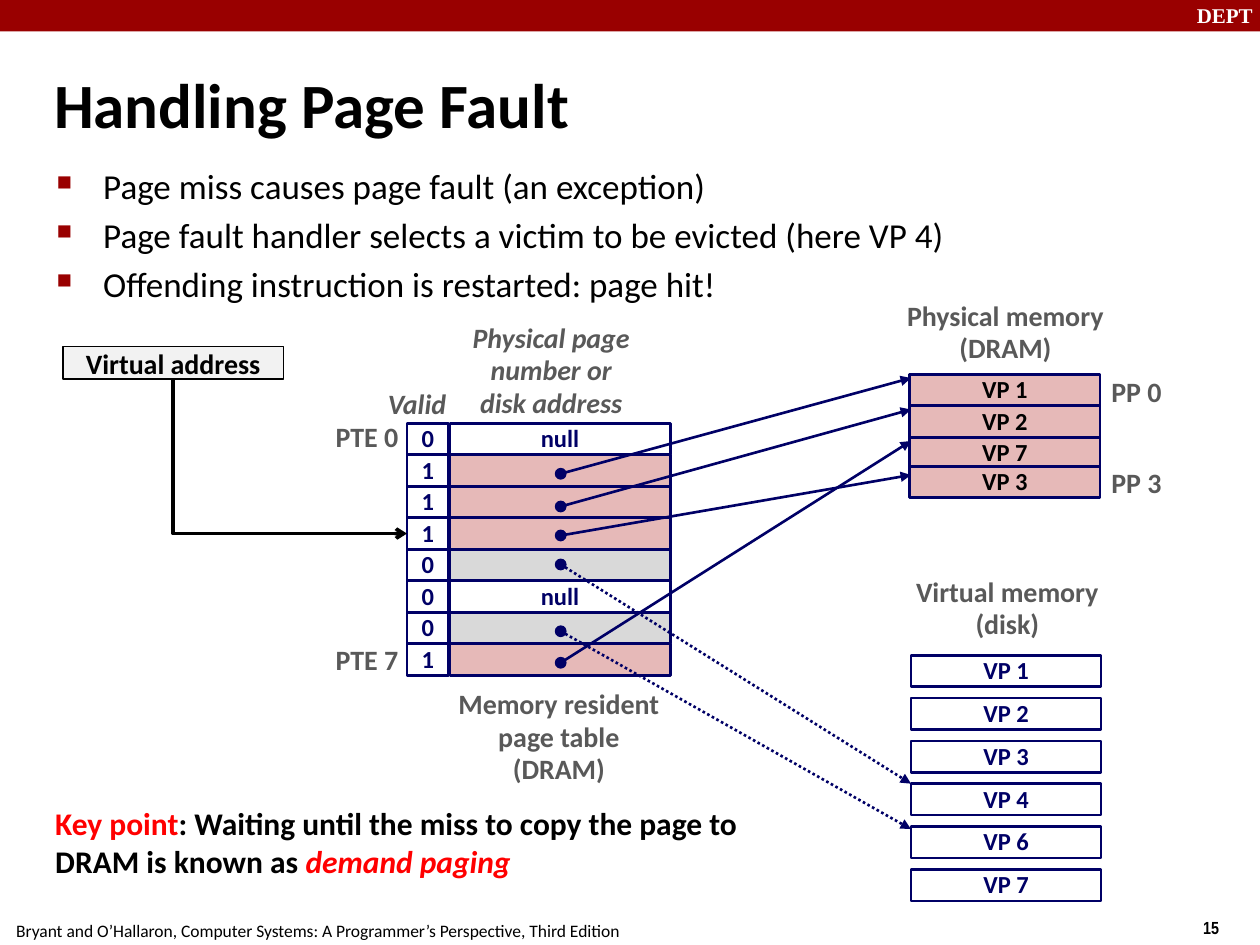
import lxml.etree
import pptx
import pptx.dml.color
import pptx.enum.dml
import pptx.enum.shapes
import pptx.enum.text
import pptx.oxml.ns
import pptx.util

Inches = pptx.util.Inches
Pt = pptx.util.Pt
RGBColor = pptx.dml.color.RGBColor
SHAPE = pptx.enum.shapes.MSO_SHAPE
CONNECTOR = pptx.enum.shapes.MSO_CONNECTOR
ALIGN = pptx.enum.text.PP_ALIGN
ANCHOR = pptx.enum.text.MSO_ANCHOR
DOTTED = pptx.enum.dml.MSO_LINE.ROUND_DOT
qn = pptx.oxml.ns.qn

BLACK = RGBColor(0x00, 0x00, 0x00)
WHITE = RGBColor(0xFF, 0xFF, 0xFF)
DARK_RED = RGBColor(0x99, 0x00, 0x00)
RED = RGBColor(0xFF, 0x00, 0x00)
NAVY = RGBColor(0x00, 0x00, 0x66)
PINK = RGBColor(0xE6, 0xB9, 0xB8)
SILVER = RGBColor(0xD9, 0xD9, 0xD9)
PALE = RGBColor(0xF2, 0xF2, 0xF2)
GRAY = RGBColor(0x59, 0x59, 0x59)

ROW = Inches(0.25)
MEMORY_WIDTH = Inches(1.51)


def format_span(span, size, color, bold=True, italic=False, font="Calibri"):
    span.font.name = font
    span.font.size = Pt(size)
    span.font.bold = bold
    span.font.italic = italic
    span.font.color.rgb = color


def write_text(shape, text, size, color, align=ALIGN.CENTER, anchor=ANCHOR.MIDDLE,
               wrap=False, spacing=0.98, **style):
    """Fill a shape with one paragraph for each line of text."""
    frame = shape.text_frame
    frame.auto_size = pptx.enum.text.MSO_AUTO_SIZE.NONE
    frame.text = text
    frame.word_wrap = wrap
    frame.vertical_anchor = anchor
    for para in frame.paragraphs:
        para.alignment = align
        para.line_spacing = spacing
        for span in para.runs:
            format_span(span, size, color, **style)


def add_label(page, left, top, width, height, text, size=16, color=GRAY, **style):
    label = page.shapes.add_textbox(left, top, width, height)
    write_text(label, text, size, color, **style)
    return label


def add_box(page, left, top, width, height, fill=None, line=NAVY, weight=1.5, kind=SHAPE.RECTANGLE):
    box = page.shapes.add_shape(kind, left, top, width, height)
    box.shadow.inherit = False
    if fill is None:
        box.fill.background()
    else:
        box.fill.solid()
        box.fill.fore_color.rgb = fill
    if line is None:
        box.line.fill.background()
    else:
        box.line.color.rgb = line
        box.line.width = Pt(weight)
    return box


def add_arrow(page, start, end, color=NAVY, weight=1.5, head="triangle", dash=None,
              kind=CONNECTOR.STRAIGHT):
    arrow = page.shapes.add_connector(kind, *start, *end)
    arrow.line.color.rgb = color
    arrow.line.width = Pt(weight)
    if dash is not None:
        arrow.line.dash_style = dash
    lxml.etree.SubElement(arrow.line._get_or_add_ln(), qn("a:tailEnd"), type=head)
    lxml.etree.SubElement(arrow._element.spPr, qn("a:effectLst"))
    return arrow


def add_frame(page, width, height):
    """Draw the top bar, the page number and the source line."""
    add_box(page, 0, 0, width, Inches(0.25), DARK_RED, line=None)
    add_label(page, width - Inches(0.6), Inches(-0.03), Inches(0.67), Inches(0.3), "DEPT", 12, WHITE,
              align=ALIGN.LEFT, anchor=ANCHOR.TOP, spacing=1.0, font="Times New Roman")
    add_label(page, width - Inches(0.55), height - Inches(0.27), Inches(0.75), Inches(0.29), "15", 10,
              BLACK, align=ALIGN.LEFT, anchor=ANCHOR.TOP, spacing=1.0, font="Arial Narrow")
    add_label(page, Inches(0.03), height - Inches(0.25), Inches(4.99), Inches(0.26),
              "Bryant and O’Hallaron, Computer Systems: A Programmer’s Perspective, Third Edition",
              10, BLACK, align=ALIGN.LEFT, anchor=ANCHOR.TOP, spacing=1.0, bold=False)


def place_title(page, left, top, width, height):
    title = page.shapes.title
    title.left, title.top, title.width, title.height = left, top, width, height
    write_text(title, "Handling Page Fault", 36, BLACK, align=ALIGN.LEFT, wrap=True, spacing=1.0)


def add_bullets(page, left, top, width, height):
    lines = ["Page miss causes page fault (an exception)",
             "Page fault handler selects a victim to be evicted (here VP 4)",
             "Offending instruction is restarted: page hit!"]
    bullets = add_label(page, left, top, width, height, "\n".join(lines), 20, BLACK, bold=False,
                        align=ALIGN.LEFT, anchor=ANCHOR.TOP, wrap=True, spacing=1.0)
    for para in bullets.text_frame.paragraphs:
        para.space_before = Pt(4)
        properties = para._p.get_or_add_pPr()
        properties.set("marL", str(Inches(0.38)))
        properties.set("indent", str(-Inches(0.37)))
        bullet_color = lxml.etree.SubElement(properties, qn("a:buClr"))
        lxml.etree.SubElement(bullet_color, qn("a:srgbClr"), val=str(DARK_RED))
        lxml.etree.SubElement(properties, qn("a:buSzPct"), val="60000")
        lxml.etree.SubElement(properties, qn("a:buChar"), char="■")


def add_page_table(page, left, top):
    """Draw the page table and return its cells of valid bits."""
    entries = [("0", WHITE, "null"), ("1", PINK, ""), ("1", PINK, ""), ("1", PINK, ""),
               ("0", SILVER, ""), ("0", WHITE, "null"), ("0", SILVER, ""), ("1", PINK, "")]
    valid_cells = []
    for index, (valid, fill, content) in enumerate(entries):
        row_top = top + index * ROW
        entry = add_box(page, left + Inches(0.34), row_top, Inches(1.75), ROW, fill)
        if content:
            write_text(entry, content, 14, NAVY)
        cell = add_box(page, left, row_top, Inches(0.33), ROW)
        write_text(cell, valid, 14, NAVY)
        valid_cells.append(cell)
    add_label(page, left - Inches(0.25), top - Inches(0.33), Inches(0.75), Inches(0.37), "Valid",
              align=ALIGN.LEFT, anchor=ANCHOR.TOP, wrap=True, italic=True)
    add_label(page, left + Inches(0.42), top - Inches(0.86), Inches(1.45), Inches(0.89),
              "Physical page\nnumber or\ndisk address", italic=True)
    add_label(page, left + Inches(0.31), top + Inches(2.05), Inches(1.79), Inches(0.89),
              "Memory resident\npage table\n(DRAM)", anchor=ANCHOR.TOP)
    for name, offset in (("PTE 0", -0.07), ("PTE 7", 1.7)):
        add_label(page, left - Inches(0.66), top + Inches(offset), Inches(0.69), Inches(0.37), name,
                  align=ALIGN.RIGHT)
    return valid_cells


def add_physical_memory(page, left, top):
    add_label(page, left - Inches(0.12), top - Inches(0.64), Inches(1.76), Inches(0.63),
              "Physical memory\n(DRAM)", anchor=ANCHOR.TOP)
    for name, offset in (("VP 7", 0.5), ("VP 3", 0.73), ("VP 2", 0.25), ("VP 1", 0)):
        write_text(add_box(page, left, top + Inches(offset), MEMORY_WIDTH, ROW, PINK), name, 14, BLACK)
    for name, offset in (("PP 0", -0.04), ("PP 3", 0.68)):
        add_label(page, left + Inches(1.5), top + Inches(offset), Inches(0.6), Inches(0.37), name)


def add_virtual_memory(page, left, top):
    add_label(page, left - Inches(0.06), top - Inches(0.68), Inches(1.65), Inches(0.63),
              "Virtual memory\n(disk)", anchor=ANCHOR.TOP)
    for index, number in enumerate((1, 2, 3, 4, 6, 7)):
        frame = add_box(page, left, top + index * Inches(0.34), MEMORY_WIDTH, ROW, WHITE)
        write_text(frame, f"VP {number}", 14, NAVY)


def add_pointers(page, dot_x, end_x):
    """Link each table entry to the memory page it refers to."""
    pointers = [(3.76, 3, None), (4.02, 3.25, None), (4.25, 3.77, None),
                (4.48, 6.22, DOTTED), (5.01, 6.58, DOTTED), (5.26, 3.5, None)]
    dot = Inches(0.08)
    for start_y, end_y, dash in pointers:
        add_arrow(page, (dot_x, Inches(start_y)), (end_x, Inches(end_y)), dash=dash)
        add_box(page, dot_x - dot // 2, Inches(start_y) - dot // 2, dot, dot, NAVY, weight=1,
                kind=SHAPE.OVAL)


def add_virtual_address(page, left, top, target):
    """Draw the address box and its elbow arrow to the target cell."""
    width, height = Inches(1.75), Inches(0.26)
    address = add_box(page, left, top, width, height, PALE, BLACK, 1)
    write_text(address, "Virtual address", 16, BLACK, wrap=True, spacing=1.0)
    start = (left + width // 2, top + height)
    end = (target.left, target.top + target.height // 2)
    elbow = add_arrow(page, start, end, BLACK, 2, "arrow", kind=CONNECTOR.ELBOW)
    elbow.begin_connect(address, 2)
    elbow.end_connect(target, 1)
    # A single bend that starts downwards is a mirrored shape turned by 270 degrees.
    across, down = end[0] - start[0], end[1] - start[1]
    elbow.width, elbow.height = down, across
    elbow.left = start[0] + (across - down) // 2
    elbow.top = start[1] + (down - across) // 2
    properties = elbow._element.spPr
    properties.find(qn("a:prstGeom")).set("prst", "bentConnector2")
    transform = properties.find(qn("a:xfrm"))
    transform.set("rot", "16200000")
    transform.set("flipH", "1")


def add_key_point(page, left, top, width, height):
    frame = page.shapes.add_textbox(left, top, width, height).text_frame
    frame.word_wrap = True
    parts = [("Key point", RED, False),
             (": Waiting until the miss to copy the page to DRAM is known as ", BLACK, False),
             ("demand paging", RED, True)]
    for text, color, italic in parts:
        span = frame.paragraphs[0].add_run()
        span.text = text
        format_span(span, 18, color, italic=italic)


def main():
    deck = pptx.Presentation()
    deck.slide_width, deck.slide_height = Inches(10), Inches(7.5)
    page = deck.slides.add_slide(deck.slide_layouts[5])
    add_frame(page, deck.slide_width, deck.slide_height)
    place_title(page, Inches(0.33), Inches(0.39), Inches(9.06), Inches(0.86))
    add_bullets(page, Inches(0.34), Inches(1.26), Inches(9.08), Inches(0.83))
    valid_cells = add_page_table(page, Inches(3.23), Inches(3.36))
    add_physical_memory(page, Inches(7.22), Inches(2.97))
    add_virtual_memory(page, Inches(7.23), Inches(5.2))
    add_pointers(page, Inches(4.45), Inches(7.23))
    add_virtual_address(page, Inches(0.5), Inches(2.75), valid_cells[3])
    add_key_point(page, Inches(0.34), Inches(6.33), Inches(6.33), Inches(0.7))
    deck.save("out.pptx")


if __name__ == "__main__":
    main()
